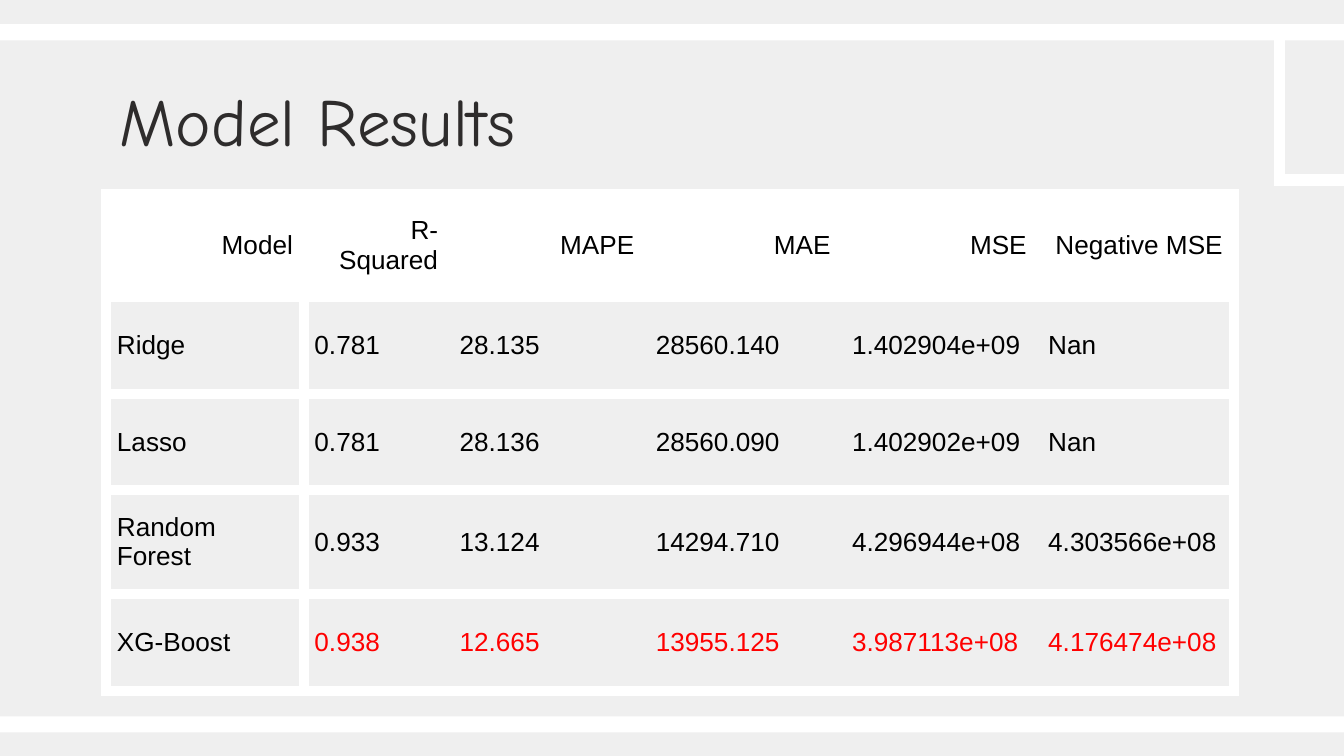
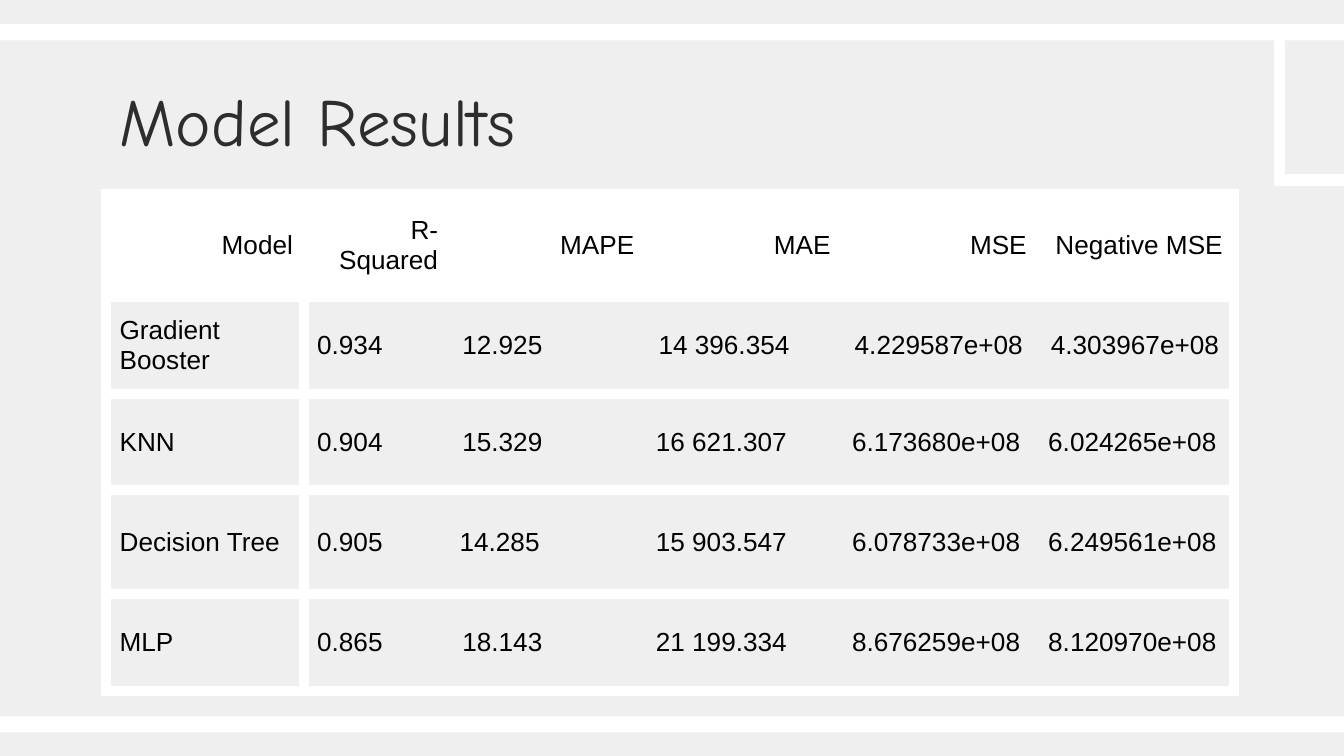
from dataclasses import dataclass

from lxml import etree
from pptx import Presentation
from pptx.dml.color import RGBColor
from pptx.enum import shapes, text
from pptx.oxml import ns
from pptx.util import Inches, Pt

WHITE = RGBColor(0xFF, 0xFF, 0xFF)
GREY = RGBColor(0xEF, 0xEF, 0xEF)
CHARCOAL = RGBColor(0x2E, 0x2C, 0x2C)
BLACK = RGBColor(0, 0, 0)
RED = RGBColor(0xFF, 0, 0)

SLIDE_WIDTH = Inches(10)
SLIDE_HEIGHT = SLIDE_WIDTH * 9 // 16
RULE_WIDTH = Pt(6)
TITLE_FORMAT = {"name": "Comic Neue", "size": Pt(36)}
CELL_FORMAT = {"name": "Arial", "size": Pt(14)}
TITLE_BOX = {"left": Inches(0.79), "top": Inches(0.49),
             "width": Inches(8.43), "height": Inches(0.63)}
TABLE_BOX = Inches(0.79), Inches(1.44), Inches(8.39), Inches(3.7)
COLUMN_WIDTHS = [1.47, 1.08] + [1.46] * 4
ROW_HEIGHTS = [0.77, 0.72, 0.72, 0.77, 0.72]
BAND_TOPS = [0.18, 5.33]
CORNER_LINES = [((9.52, 0.3), (9.52, 1.34)), ((10.32, 1.34), (9.48, 1.34))]


@dataclass
class TableRow:
    """One row; its first `roomy` cells have the wider margins."""
    values: tuple[str, ...]
    roomy: int = 0
    score_color: RGBColor = BLACK


HEADER = TableRow(("Model", "R-Squared", "MAPE", "MAE", "MSE", "Negative MSE"))
RESULTS = [
    [
        TableRow(("Ridge", "0.781", "28.135", "28560.140", "1.402904e+09", "Nan")),
        TableRow(("Lasso", "0.781", "28.136", "28560.090", "1.402902e+09", "Nan")),
        TableRow(("Random Forest", "0.933", "13.124", "14294.710",
                  "4.296944e+08", "4.303566e+08")),
        TableRow(("XG-Boost", "0.938", "12.665", "13955.125",
                  "3.987113e+08", "4.176474e+08"), score_color=RED),
    ],
    [
        TableRow(("Gradient Booster", "0.934", "12.925", "14 396.354",
                  "4.229587e+08", "4.303967e+08"), roomy=6),
        TableRow(("KNN", "0.904", "15.329", "16 621.307",
                  "6.173680e+08", "6.024265e+08"), roomy=3),
        TableRow(("Decision Tree", "0.905", "14.285", "15 903.547",
                  "6.078733e+08", "6.249561e+08"), roomy=2),
        TableRow(("MLP", "0.865", "18.143", "21 199.334",
                  "8.676259e+08", "8.120970e+08"), roomy=3),
    ],
]


def set_format(target, values: dict) -> None:
    for name, value in values.items():
        setattr(target, name, value)


def style_run(r, values: dict, color: RGBColor) -> None:
    set_format(r.font, values)
    r.font.color.rgb = color


def add_frame(slide) -> None:
    """Draw the two bands and the corner lines."""
    for top in BAND_TOPS:
        sp = slide.shapes.add_shape(shapes.MSO_SHAPE.RECTANGLE, 0, Inches(top),
                                    SLIDE_WIDTH, Inches(0.12))
        sp.shadow.inherit = False
        sp.fill.solid()
        sp.fill.fore_color.rgb = WHITE
        sp.line.fill.background()
    for start, end in CORNER_LINES:
        line = slide.shapes.add_connector(shapes.MSO_CONNECTOR.STRAIGHT,
                                          *map(Inches, start + end))
        line.line.color.rgb = WHITE
        line.line.width = RULE_WIDTH
        etree.SubElement(line._element.spPr, ns.qn("a:effectLst"))


def add_title(slide, wording: str) -> None:
    title = slide.shapes.title
    set_format(title, TITLE_BOX)
    tf = title.text_frame
    set_format(tf, {f"margin_{side}": Inches(0.1)
                    for side in ("left", "top", "right", "bottom")})
    set_format(tf, {"word_wrap": True, "auto_size": text.MSO_AUTO_SIZE.NONE,
                    "vertical_anchor": text.MSO_ANCHOR.TOP})
    p = tf.paragraphs[0]
    p.alignment = text.PP_ALIGN.LEFT
    r = p.add_run()
    r.text = wording
    style_run(r, TITLE_FORMAT, CHARCOAL)


def set_borders(cell, sides: str) -> None:
    """Rule the given sides (letters of LRTB) and clear the others."""
    tc_pr = cell._tc.get_or_add_tcPr()
    for position, side in enumerate("LRTB"):
        ln = etree.Element(ns.qn(f"a:ln{side}"), w=str(RULE_WIDTH))
        if side in sides:
            fill = etree.SubElement(ln, ns.qn("a:solidFill"))
            etree.SubElement(fill, ns.qn("a:srgbClr"), val=str(WHITE))
        else:
            etree.SubElement(ln, ns.qn("a:noFill"))
        tc_pr.insert(position, ln)


def fill_cell(cell, row: TableRow, column: int) -> None:
    is_header = row is HEADER
    side, end = (0.1, 0.05) if column < row.roomy else (0.08, 0.04)
    set_format(cell, {"margin_left": Inches(side), "margin_right": Inches(side),
                      "margin_top": Inches(end), "margin_bottom": Inches(end),
                      "vertical_anchor": text.MSO_ANCHOR.MIDDLE})
    if is_header:
        cell.fill.solid()
        cell.fill.fore_color.rgb = WHITE
    else:
        cell.fill.background()
    last = len(row.values) - 1
    set_borders(cell, {0: "LRTB", 1: "LTB", last: "RTB"}.get(column, "TB"))

    p = cell.text_frame.paragraphs[0]
    p.alignment = text.PP_ALIGN.RIGHT if is_header else text.PP_ALIGN.LEFT
    r = p.add_run()
    r.text = row.values[column]
    style_run(r, CELL_FORMAT, row.score_color if column else BLACK)


def add_results_table(slide, rows: list[TableRow]) -> None:
    table = slide.shapes.add_table(len(ROW_HEIGHTS), len(COLUMN_WIDTHS),
                                   *TABLE_BOX).table
    set_format(table, {"first_row": False, "horz_banding": False})
    for column, width in zip(table.columns, COLUMN_WIDTHS):
        column.width = Inches(width)
    for i, (row, height) in enumerate(zip([HEADER, *rows], ROW_HEIGHTS)):
        table.rows[i].height = Inches(height)
        for j in range(len(row.values)):
            fill_cell(table.cell(i, j), row, j)


def main() -> None:
    prs = Presentation()
    prs.slide_width, prs.slide_height = SLIDE_WIDTH, SLIDE_HEIGHT
    background = prs.slide_master.background.fill
    background.solid()
    background.fore_color.rgb = GREY
    title_only = prs.slide_layouts.get_by_name("Title Only")
    for rows in RESULTS:
        slide = prs.slides.add_slide(title_only)
        add_frame(slide)
        add_title(slide, "Model Results")
        add_results_table(slide, rows)
    prs.save("out.pptx")


if __name__ == "__main__":
    main()
